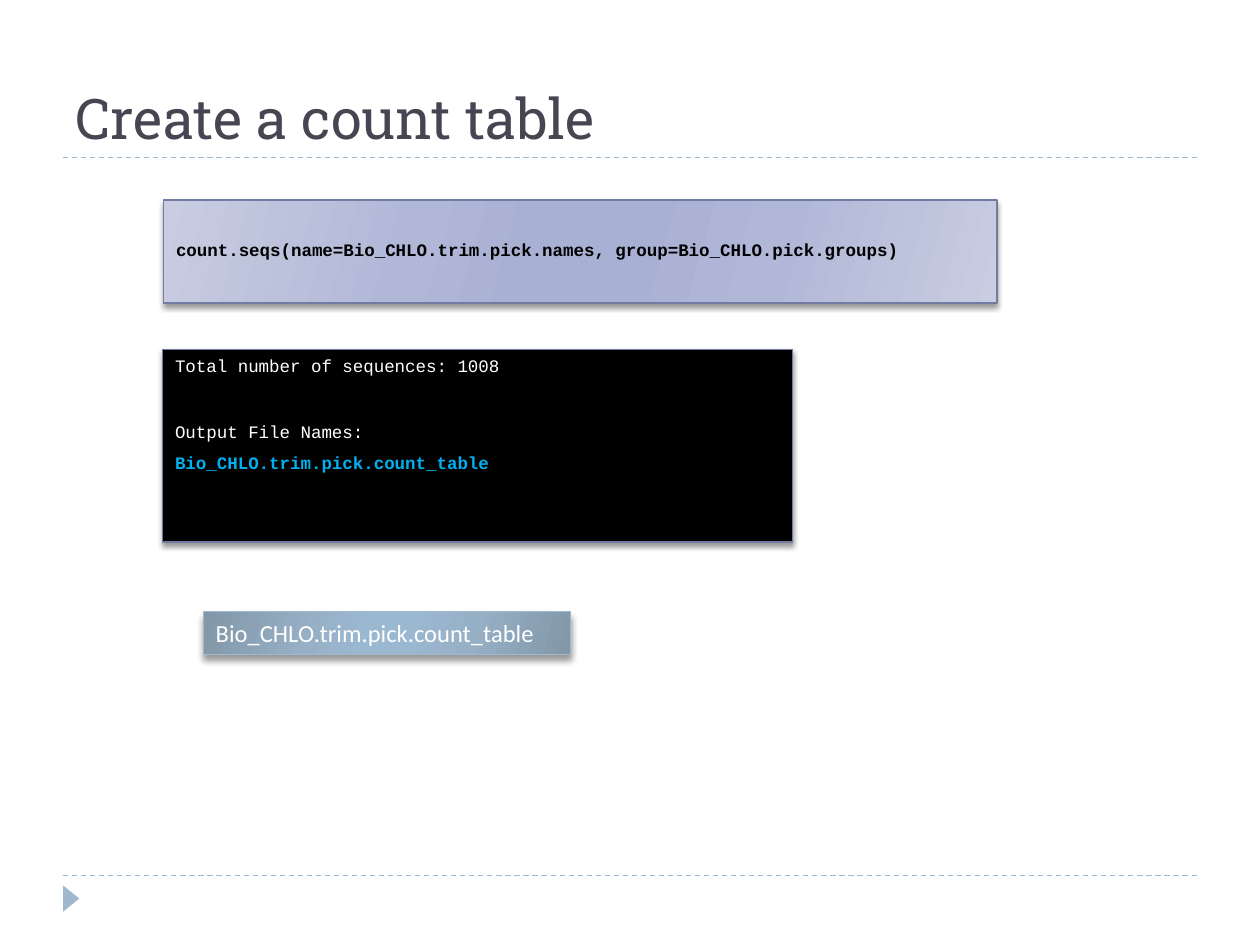
from lxml import etree
from pptx import Presentation
from pptx.dml.color import RGBColor
from pptx.enum import dml, shapes, text
from pptx.oxml import ns
from pptx.util import Cm, Pt

WHITE = RGBColor(0xFF, 0xFF, 0xFF)
BLACK = RGBColor(0, 0, 0)
INK = RGBColor(0x46, 0x46, 0x53)
SLATE = RGBColor(0x72, 0x7C, 0xA3)
MIST = RGBColor(0x9F, 0xB8, 0xCD)
CYAN = RGBColor(0x00, 0xB0, 0xF0)
LILAC_EDGE = RGBColor(0xC9, 0xCD, 0xE2)
LILAC_MID = RGBColor(0xB1, 0xB7, 0xD7)
LILAC_CORE = RGBColor(0xA8, 0xB0, 0xD3)
STEEL_EDGE = RGBColor(0x82, 0x97, 0xA8)
STEEL_MID = RGBColor(0x96, 0xB0, 0xC6)
STEEL_CORE = RGBColor(0x9B, 0xB8, 0xD1)
CODE_FONT = "Courier New"


def add_node(parent, tag, **attributes):
    node = etree.SubElement(parent, ns.qn(tag))
    for key, value in attributes.items():
        node.set(key, str(value))
    return node


def fill_sheen(panel, edge, mid, core):
    panel.fill.gradient()
    panel.fill.gradient_angle = 344
    stops = panel._element.spPr.find(".//" + ns.qn("a:gsLst"))
    for stop in list(stops):
        stops.remove(stop)
    colours = (edge, mid, core, core, mid, edge)
    for percent, colour in zip((0, 30, 45, 55, 73, 100), colours):
        stop = add_node(stops, "a:gs", pos=percent * 1000)
        add_node(stop, "a:srgbClr", val=colour)


def drop_shadow(panel, blur, distance):
    panel.shadow.inherit = False
    effects = panel._element.spPr.find(ns.qn("a:effectLst"))
    shadow = add_node(effects, "a:outerShdw", blurRad=Pt(blur), dist=Pt(distance),
                      dir=90 * 60000, algn="ctr", rotWithShape=0)
    add_node(add_node(shadow, "a:srgbClr", val=BLACK), "a:alpha", val=40000)


def add_panel(slide, box, outline, blur=3, distance=2):
    panel = slide.shapes.add_shape(shapes.MSO_SHAPE.RECTANGLE, *box)
    panel.line.color.rgb = outline
    panel.line.width = Pt(0.75)
    drop_shadow(panel, blur, distance)
    panel.text_frame.word_wrap = True
    panel.text_frame.vertical_anchor = text.MSO_ANCHOR.TOP
    return panel


def write(paragraph, words, font, size, colour, bold=False):
    paragraph.alignment = text.PP_ALIGN.LEFT
    run = paragraph.add_run()
    run.text = words
    run.font.name = font
    run.font.size = Pt(size)
    run.font.bold = bold
    run.font.color.rgb = colour


def add_rule(slide, left, top, width):
    rule = slide.shapes.add_connector(
        shapes.MSO_CONNECTOR.STRAIGHT, left, top, left + width, top)
    rule.line.color.rgb = MIST
    rule.line.width = Pt(0.75)
    rule.line.dash_style = dml.MSO_LINE.DASH
    add_node(rule._element.spPr, "a:effectLst")


def add_heading(slide, left, top, width, height):
    title = slide.shapes.title
    title.left, title.top, title.width, title.height = left, top, width, height
    title.text_frame.vertical_anchor = text.MSO_ANCHOR.BOTTOM
    write(title.text_frame.paragraphs[0], "Create a count table", "Roboto Slab", 32, INK)
    add_rule(slide, left, top + height, width)


def add_footer(slide, left, top, width):
    add_rule(slide, left, top, width)
    marker = slide.shapes.add_shape(
        shapes.MSO_SHAPE.ISOSCELES_TRIANGLE,
        left - Cm(0.1), top + Cm(0.3), Cm(0.53), Cm(0.33))
    marker.rotation = 90
    marker.fill.solid()
    marker.fill.fore_color.rgb = MIST
    marker.line.fill.background()
    marker.shadow.inherit = False


def add_command(slide, *box):
    command = add_panel(slide, box, SLATE)
    fill_sheen(command, LILAC_EDGE, LILAC_MID, LILAC_CORE)
    command.text_frame.margin_top = Cm(0.78)
    write(command.text_frame.paragraphs[0],
          "count.seqs(name=Bio_CHLO.trim.pick.names, group=Bio_CHLO.pick.groups)",
          CODE_FONT, 10, BLACK, bold=True)


def add_console(slide, *box):
    console = add_panel(slide, box, SLATE)
    console.fill.solid()
    console.fill.fore_color.rgb = BLACK
    frame = console.text_frame
    output = (
        ("Total number of sequences: 1008", 0, WHITE, False),
        ("Output File Names:", 25.3, WHITE, False),
        ("Bio_CHLO.trim.pick.count_table", 6, CYAN, True),
    )
    for number, (words, gap, colour, bold) in enumerate(output):
        line = frame.add_paragraph() if number else frame.paragraphs[0]
        line.space_before = Pt(gap)
        write(line, words, CODE_FONT, 10, colour, bold)


def add_result(slide, *box):
    result = add_panel(slide, box, MIST, blur=4, distance=3.4)
    fill_sheen(result, STEEL_EDGE, STEEL_MID, STEEL_CORE)
    write(result.text_frame.paragraphs[0],
          "Bio_CHLO.trim.pick.count_table", "Calibri", 14, WHITE)


def main():
    deck = Presentation()
    deck.slide_width, deck.slide_height = Cm(25.4), Cm(19.05)
    slide = deck.slides.add_slide(deck.slide_layouts[5])
    margin, content_width = Cm(1.27), Cm(22.86)
    add_footer(slide, margin, Cm(17.65), content_width)
    add_heading(slide, margin, Cm(0.43), content_width, Cm(2.74))
    add_command(slide, Cm(3.3), Cm(4.03), Cm(16.8), Cm(2.08))
    add_result(slide, Cm(4.1), Cm(12.33), Cm(7.4), Cm(0.86))
    add_console(slide, Cm(3.28), Cm(7.04), Cm(12.7), Cm(3.89))
    deck.save("out.pptx")


if __name__ == "__main__":
    main()
